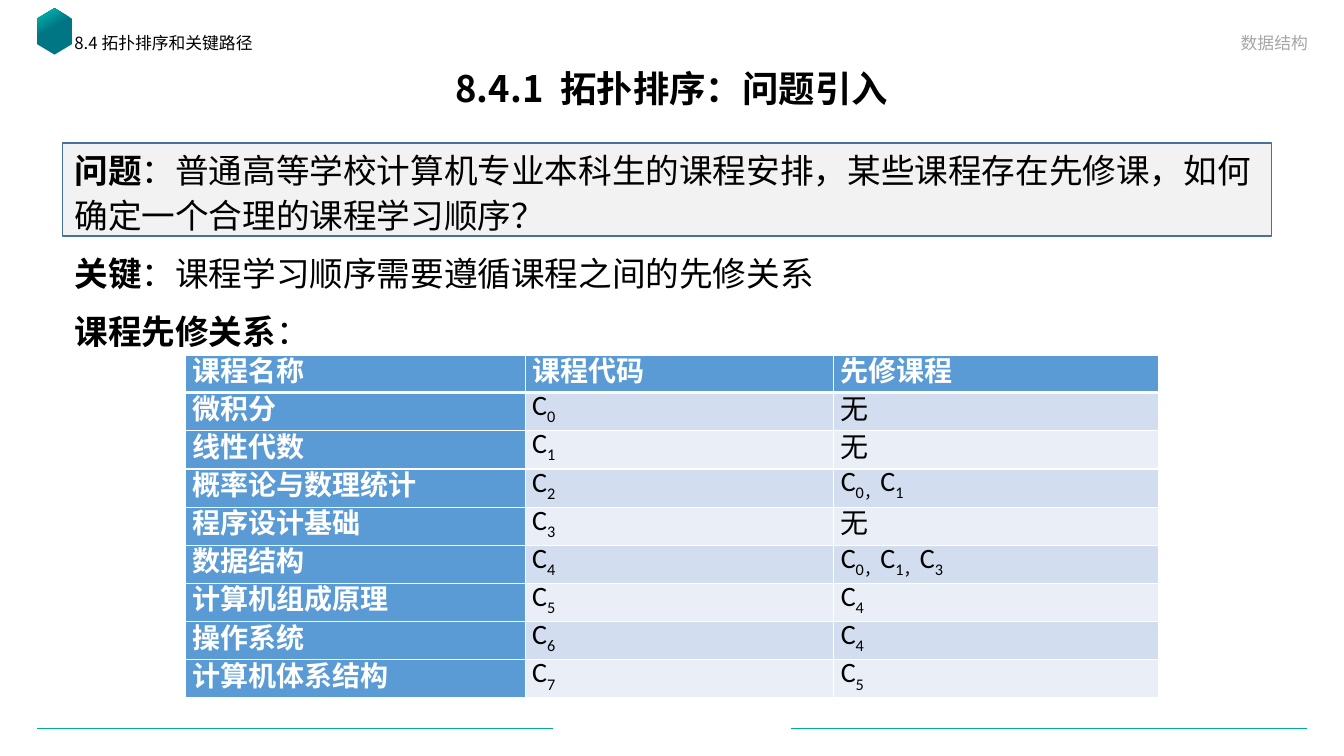
import dataclasses

import lxml.etree
import pptx
import pptx.dml.color
import pptx.enum.dml
import pptx.enum.lang
import pptx.enum.shapes
import pptx.enum.text
import pptx.oxml.ns
import pptx.util

ALIGN = pptx.enum.text.PP_ALIGN
ANCHOR = pptx.enum.text.MSO_ANCHOR
SHAPE = pptx.enum.shapes.MSO_SHAPE
WIDTH, HEIGHT = pptx.util.Inches(13.33), pptx.util.Inches(7.5)


@dataclasses.dataclass(frozen=True)
class Theme:
    text_font: str = "Noto Sans CJK SC"
    table_font: str = "Calibri"
    black: str = "000000"
    white: str = "FFFFFF"
    grey: str = "A6A6A6"
    teal: str = "00ABA5"
    dark_teal: str = "007684"
    panel: str = "F2F2F2"
    panel_line: str = "43739E"
    header: str = "5B9BD5"
    bands: tuple = ("D2DEEF", "EAEFF7")
    title_size: int = 26
    body_size: int = 24
    table_size: int = 20
    small_size: int = 12


THEME = Theme()

# Each course with the numbers of its prerequisite courses
COURSES = [
    ("微积分", ()),
    ("线性代数", ()),
    ("概率论与数理统计", (0, 1)),
    ("程序设计基础", ()),
    ("数据结构", (0, 1, 3)),
    ("计算机组成原理", (4,)),
    ("操作系统", (4,)),
    ("计算机体系结构", (5,)),
]
STATEMENTS = [
    ("问题", "：普通高等学校计算机专业本科生的课程安排，某些课程存在先修课，"
             "如何确定一个合理的课程学习顺序？"),
    ("关键", "：课程学习顺序需要遵循课程之间的先修关系"),
    ("课程先修关系", "："),
]


# Lengths are percentages of the slide's width and height
def across(share):
    return round(WIDTH * share / 100)


def down(share):
    return round(HEIGHT * share / 100)


def area(left, top, width, height):
    return across(left), down(top), across(width), down(height)


def rgb(color):
    return pptx.dml.color.RGBColor.from_string(color)


def add_run(paragraph, text, size, color=THEME.black, bold=False,
            font=THEME.text_font, subscript=False):
    run = paragraph.add_run()
    run.text = text
    run.font.size = pptx.util.Pt(size)
    run.font.bold = bold
    run.font.name = font
    run.font.color.rgb = rgb(color)
    run.font.language_id = pptx.enum.lang.MSO_LANGUAGE_ID.SIMPLIFIED_CHINESE
    properties = run.font._element
    east_asian = lxml.etree.SubElement(properties, pptx.oxml.ns.qn("a:ea"))
    east_asian.set("typeface", THEME.text_font)
    if subscript:
        properties.set("baseline", "-25000")


def add_text_box(slide, place, anchor=ANCHOR.TOP):
    frame = slide.shapes.add_textbox(*area(*place)).text_frame
    frame.word_wrap = True
    frame.vertical_anchor = anchor
    return frame


def add_label(slide, place, text, color, align, anchor):
    paragraph = add_text_box(slide, place, anchor).paragraphs[0]
    paragraph.alignment = align
    paragraph.line_spacing = 0.9
    add_run(paragraph, text, THEME.small_size, color)


def add_shape(slide, kind, place):
    shape = slide.shapes.add_shape(kind, *area(*place))
    shape.shadow.inherit = False
    return shape


def add_footer_line(slide, left):
    line = slide.shapes.add_connector(
        pptx.enum.shapes.MSO_CONNECTOR.STRAIGHT,
        across(left), down(96.3), across(left + 38.33), down(96.3))
    line.line.fill.solid()
    line.line.fill.fore_color.rgb = rgb(THEME.teal)
    line.line.width = pptx.util.Pt(0.5)
    lxml.etree.SubElement(line._element.spPr, pptx.oxml.ns.qn("a:effectLst"))


def add_emblem(slide):
    emblem = add_shape(slide, SHAPE.HEXAGON, (2.33, 1.87, 3.45, 4.6))
    emblem.rotation = 90
    emblem.adjustments[0] = 0.3
    emblem.line.fill.background()
    emblem.fill.gradient()
    emblem.fill.gradient_angle = 210
    stops = ((0.57, THEME.dark_teal), (0.87, THEME.teal))
    for stop, (position, color) in zip(emblem.fill.gradient_stops, stops):
        stop.position = position
        stop.color.rgb = rgb(color)


def add_panel(slide):
    panel = add_shape(slide, SHAPE.RECTANGLE, (4.65, 18.93, 89.95, 12.27))
    panel.fill.solid()
    panel.fill.fore_color.rgb = rgb(THEME.panel)
    panel.line.color.rgb = rgb(THEME.panel_line)
    panel.line.width = pptx.util.Pt(1)


def set_title(slide, text):
    title = slide.shapes.title
    title.left, title.top, title.width, title.height = area(6.9, 8.2, 86.2, 7.6)
    title.text_frame.vertical_anchor = ANCHOR.MIDDLE
    paragraph = title.text_frame.paragraphs[0]
    paragraph.alignment = ALIGN.CENTER
    paragraph.line_spacing = 0.9
    add_run(paragraph, text, THEME.title_size, bold=True)


def add_statements(slide):
    frame = add_text_box(slide, (4.8, 18.67, 90.7, 73.73))
    for index, (lead, rest) in enumerate(STATEMENTS):
        paragraph = frame.add_paragraph() if index else frame.paragraphs[0]
        paragraph.line_spacing = 1.1
        paragraph.space_before = pptx.util.Pt(10 if index else 0)
        add_run(paragraph, lead, THEME.body_size, bold=True)
        add_run(paragraph, rest, THEME.body_size)


def set_borders(cell, top, bottom):
    properties = cell._tc.get_or_add_tcPr()
    sides = (("L", 1), ("R", 1), ("T", top), ("B", bottom))
    for index, (side, width) in enumerate(sides):
        properties.insert(index, pptx.oxml.parse_xml(
            f'<a:ln{side} {pptx.oxml.ns.nsdecls("a")} w="{width * 12700}"><a:solidFill>'
            f'<a:srgbClr val="{THEME.white}"/></a:solidFill></a:ln{side}>'))


def fill_cell(cell, runs, fill, color, bold, top, bottom):
    """Write (text, subscript) runs into a formatted cell."""
    cell.fill.solid()
    cell.fill.fore_color.rgb = rgb(fill)
    cell.vertical_anchor = ANCHOR.MIDDLE
    cell.margin_left = cell.margin_right = pptx.util.Inches(0.07)
    cell.margin_top = cell.margin_bottom = 0
    paragraph = cell.text_frame.paragraphs[0]
    paragraph.alignment = ALIGN.JUSTIFY
    paragraph.line_spacing = pptx.util.Pt(22)
    for text, subscript in runs:
        add_run(paragraph, text, THEME.table_size, color, bold,
                THEME.table_font, subscript)
    set_borders(cell, top, bottom)


def code_runs(numbers):
    runs = []
    for number in numbers:
        comma = "" if number == numbers[-1] else "，"
        runs += [("C", False), (f"{number}{comma}", True)]
    return runs or [("无", False)]


def add_course_table(slide):
    rows = [[[(text, False)] for text in ("课程名称", "课程代码", "先修课程")]]
    for number, (name, required) in enumerate(COURSES):
        rows.append([[(name, False)], code_runs((number,)), code_runs(required)])
    table = slide.shapes.add_table(
        len(rows), 3, *area(13.8, 47, 72.39, 45.33)).table
    table.horz_banding = False
    for column, share in zip(table.columns, (25.28, 22.96, 24.15)):
        column.width = across(share)
    for y, row in enumerate(rows):
        table.rows[y].height = down(5.05 if y else 4.93)
        for x, runs in enumerate(row):
            heading = y == 0 or x == 0
            fill_cell(table.cell(y, x), runs,
                      THEME.header if heading else THEME.bands[(y - 1) % 2],
                      THEME.white if heading else THEME.black, heading,
                      top=3 if y == 1 else 1, bottom=3 if y == 0 else 1)


def main():
    presentation = pptx.Presentation()
    presentation.slide_width, presentation.slide_height = WIDTH, HEIGHT
    slide = presentation.slides.add_slide(presentation.slide_layouts[5])
    # Frame of the slide
    for left in (2.78, 58.89):
        add_footer_line(slide, left)
    add_emblem(slide)
    add_label(slide, (4.8, 4, 39.91, 4.8), "8.4 拓扑排序和关键路径",
              THEME.black, ALIGN.LEFT, ANCHOR.TOP)
    add_label(slide, (55.74, 3.05, 42.31, 4.67), "数据结构",
              THEME.grey, ALIGN.RIGHT, ANCHOR.BOTTOM)
    # Content
    set_title(slide, "8.4.1  拓扑排序：问题引入")
    add_panel(slide)
    add_statements(slide)
    add_course_table(slide)
    presentation.save("out.pptx")


if __name__ == "__main__":
    main()
